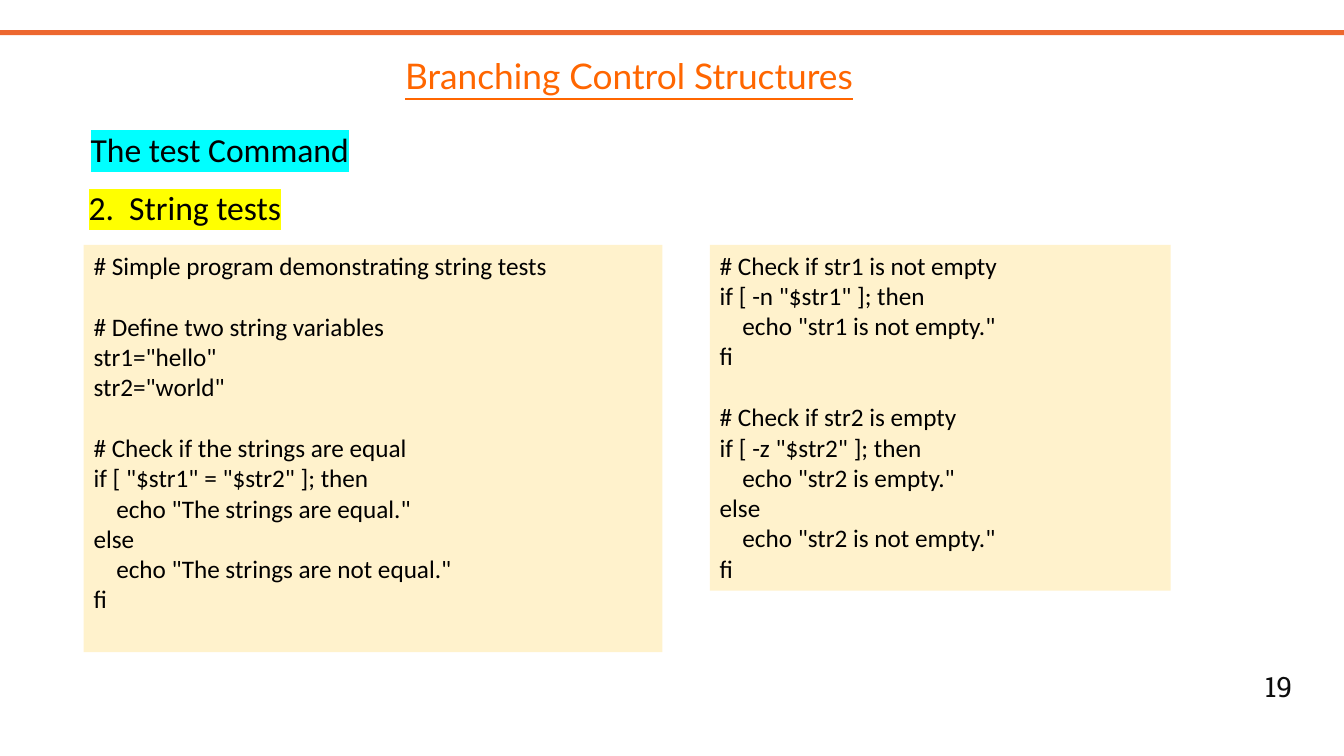
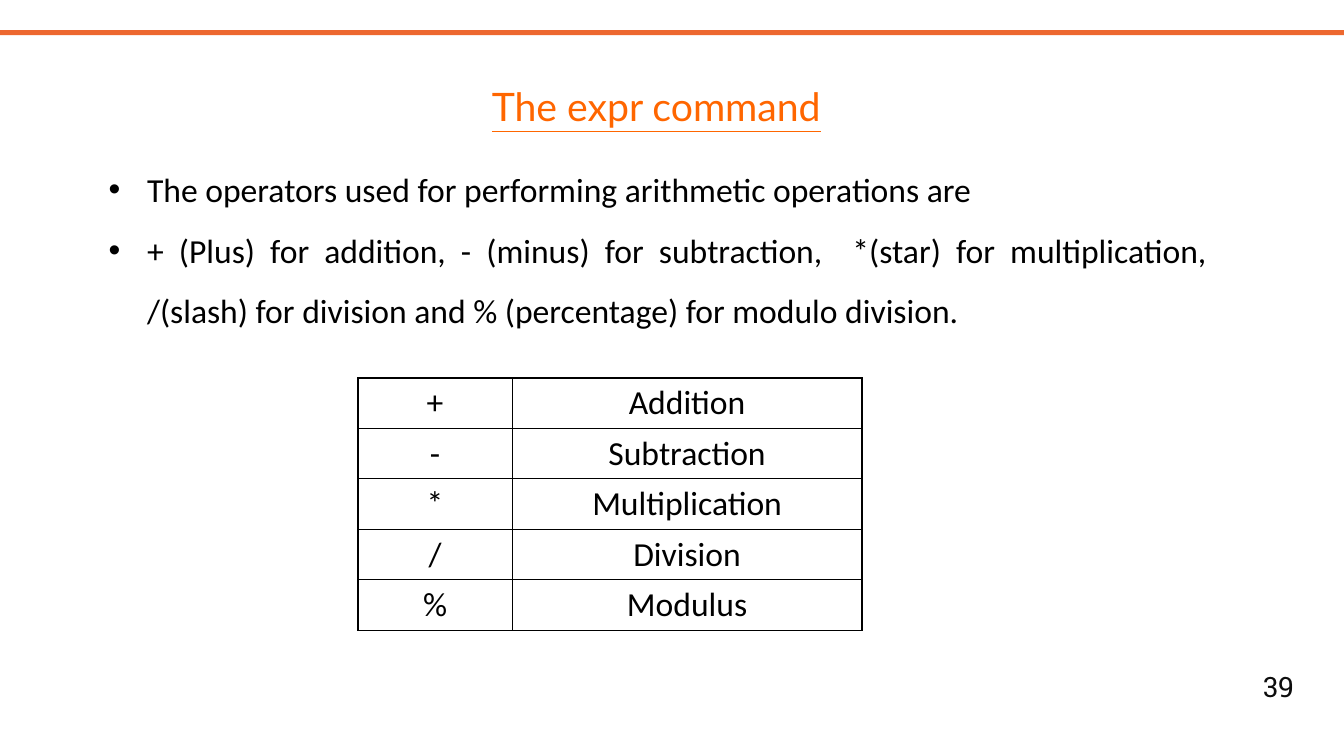
from lxml import etree
from pptx import Presentation, util as u
from pptx.dml.color import RGBColor
from pptx.enum import shapes, text
from pptx.oxml import ns

WIDE, HIGH = 13.33, 7.5
ORANGE, BAND, CREAM, INK = "FF6600", "ED682F", "FFF2CC", "000000"
BODY = dict(size=24, name="Calibri", color=INK)
CODE = BODY | dict(size=18)
TITLE = dict(size=28, name="Lato", color=ORANGE, underline=True)
PAGE = dict(size=20, name="Roboto Slab", color="0D0D0D")
ALIGN = text.PP_ALIGN

HEADS = [
    ("The test Command", "00FFFF", (0.8, 1.03, 10.74, 0.64)),
    ("2.  String tests", "FFFF00", (0.78, 1.61, 11.33, 0.64)),
]
# Each panel: its place, then blocks of code set apart by one line
PANELS = [
    ((0.83, 2.43, 5.74, 4.04), [
        ["# Simple program demonstrating string tests"],
        ["# Define two string variables",
         'str1="hello"',
         'str2="world"'],
        ["# Check if the strings are equal",
         'if [ "$str1" = "$str2" ]; then',
         '    echo "The strings are equal."',
         "else",
         '    echo "The strings are not equal."',
         "fi"],
    ]),
    ((7.04, 2.43, 4.57, 3.43), [
        ["# Check if str1 is not empty",
         'if [ -n "$str1" ]; then',
         '    echo "str1 is not empty."',
         "fi"],
        ["# Check if str2 is empty",
         'if [ -z "$str2" ]; then',
         '    echo "str2 is empty."',
         "else",
         '    echo "str2 is not empty."',
         "fi"],
    ]),
]
POINTS = [
    "The operators used for performing arithmetic operations are",
    "+ (Plus) for addition, - (minus) for subtraction,  *(star) for "
    "multiplication, /(slash) for division and % (percentage) for modulo "
    "division.",
]
SIGNS = [("+", "Addition"), ("-", "Subtraction"), ("*", "Multiplication"),
         ("/", "Division"), ("%", "Modulus")]
COLS, ROW = (1.53, 3.47), 0.5


def paint(color, code):
    color.rgb = RGBColor.from_string(code)


def inches(place):
    return [u.Inches(n) for n in place]


def style(font, look):
    for key, val in look.items():
        if key == "color":
            paint(font.color, val)
        else:
            setattr(font, key, u.Pt(val) if key == "size" else val)


def tag(name, **attrs):
    return etree.Element(ns.qn("a:" + name), **attrs)


def solid(code):
    fill = tag("solidFill")
    fill.append(tag("srgbClr", val=code))
    return fill


def write(para, words, look, **form):
    for key, val in form.items():
        setattr(para, key, val)
    run = para.add_run()
    run.text = words
    style(run.font, look)
    return run


def box(slide, place, anchor=text.MSO_ANCHOR.TOP):
    frame = slide.shapes.add_textbox(*inches(place)).text_frame
    frame.word_wrap = True
    frame.vertical_anchor = anchor
    return frame


def block(slide, place, fill):
    shape = slide.shapes.add_shape(shapes.MSO_SHAPE.RECTANGLE, *inches(place))
    shape.shadow.inherit = False
    shape.fill.solid()
    paint(shape.fill.fore_color, fill)
    shape.line.fill.background()
    return shape.text_frame


def lines(frame, items):
    """Yield one paragraph of the frame for each item."""
    for i, item in enumerate(items):
        yield frame.add_paragraph() if i else frame.paragraphs[0], item


def start(deck, title, place, page, size):
    """Add a slide with the band, title and page number."""
    slide = deck.slides.add_slide(deck.slide_layouts[6])
    block(slide, (0, 0.3, WIDE, 0.05), BAND)
    frame = box(slide, (12.34, 6.59, 0.68, 0.44))
    write(frame.paragraphs[0], str(page), PAGE, alignment=ALIGN.CENTER)
    frame = box(slide, place, text.MSO_ANCHOR.MIDDLE)
    write(frame.paragraphs[0], title, TITLE | dict(size=size))
    return slide


def mark(run, code):
    """Highlight a run."""
    light = tag("highlight")
    light.append(solid(code)[0])
    run.font.fill._xPr.find(ns.qn("a:solidFill")).addnext(light)


def panel(slide, place, blocks):
    frame = block(slide, place, CREAM)
    frame.word_wrap = True
    frame.vertical_anchor = text.MSO_ANCHOR.TOP
    rows = [(line, i > 0 and j == 0) for i, part in enumerate(blocks)
            for j, line in enumerate(part)]
    for para, (line, gap) in lines(frame, rows):
        write(para, line, CODE, alignment=ALIGN.LEFT,
              space_before=u.Pt(22 if gap else 0))


def bullets(slide, place, items):
    for para, item in lines(box(slide, place), items):
        props = para._p.get_or_add_pPr()
        props.set("marL", str(u.Inches(0.38)))
        props.set("indent", str(u.Inches(-0.38)))
        props.append(tag("buFont", typeface="Arial"))
        props.append(tag("buChar", char="•"))
        write(para, item, BODY, alignment=ALIGN.JUSTIFY, line_spacing=1.5)


def edge(cell):
    props = cell._tc.get_or_add_tcPr()
    for i, side in enumerate("LRTB"):
        line = tag("ln" + side, w=str(u.Pt(1)))
        line.append(solid(INK))
        props.insert(i, line)


def grid(slide, left, top, data):
    place = inches((left, top, sum(COLS), ROW * len(data)))
    table = slide.shapes.add_table(len(data), len(COLS), *place).table
    table.first_row = table.horz_banding = False
    for col, wide in zip(table.columns, COLS):
        col.width = u.Inches(wide)
    for r, row in enumerate(data):
        for c, words in enumerate(row):
            cell = table.cell(r, c)
            cell.fill.background()
            cell.vertical_anchor = text.MSO_ANCHOR.MIDDLE
            edge(cell)
            write(cell.text_frame.paragraphs[0], words, BODY,
                  alignment=ALIGN.CENTER)


def main():
    deck = Presentation()
    deck.slide_width, deck.slide_height = inches((WIDE, HIGH))

    slide = start(deck, "Branching Control Structures",
                  (3.92, 0.37, 5.05, 0.76), 19, 25.2)
    for words, light, place in HEADS:
        para = box(slide, place).paragraphs[0]
        mark(write(para, words, BODY, alignment=ALIGN.JUSTIFY,
                   line_spacing=1.5), light)
    for place, blocks in PANELS:
        panel(slide, place, blocks)

    slide = start(deck, "The expr command", (4.78, 0.67, 3.76, 0.76), 39, 28)
    bullets(slide, (0.98, 1.43, 11.09, 1.86), POINTS)
    grid(slide, 3.55, 3.75, SIGNS)

    deck.save("out.pptx")


if __name__ == "__main__":
    main()
